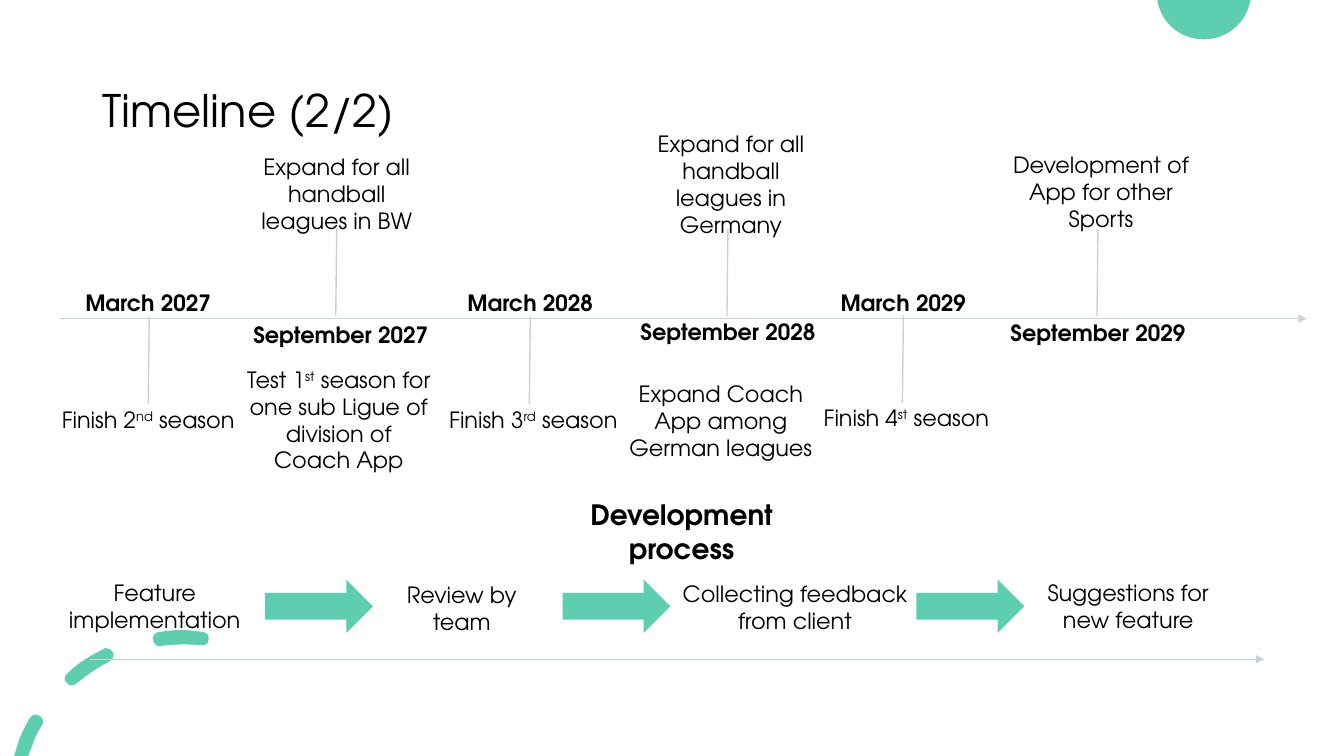
import pptx
import pptx.util
import pptx.dml.color
import pptx.enum.shapes
import pptx.enum.text
import pptx.oxml
import pptx.oxml.ns

Inches = pptx.util.Inches
RGBColor = pptx.dml.color.RGBColor
GREEN = RGBColor(0x5D, 0xCE, 0xAF)
GREY = RGBColor(0xC8, 0xD2, 0xDD)
BLACK = RGBColor(0, 0, 0)
FONT = "TeX Gyre Adventor"

STEM_HEIGHT = 0.87
STEM_TOPS = [(1.48, 3.14), (3.34, 2.26), (5.26, 3.14),
             (7.22, 2.27), (8.96, 3.13), (10.89, 2.27)]

DATES = [
    ("March 2027", 0.52, 2.87), ("September 2027", 2.43, 3.19),
    ("March 2028", 4.31, 2.87), ("September 2028", 6.27, 3.16),
    ("March 2029", 8.01, 2.87), ("September 2029", 9.94, 3.17),
]

MILESTONES = [
    (["Finish 2", "nd", " season"], 0.55, 4.03, 0.27),
    (["Expand for all handball leagues in BW"], 2.42, 1.52, 0.81),
    (["Test 1", "st", " season for one sub Ligue of division of Coach App"], 2.44, 3.63, 1.08),
    (["Finish 3", "rd", " season"], 4.37, 4.03, 0.27),
    (["Expand for all handball leagues in Germany"], 6.33, 1.29, 1.08),
    (["Expand Coach App among German leagues"], 6.23, 3.77, 0.81),
    (["Finish 4", "st", " season"], 8.07, 4.01, 0.27),
    (["Development of App for other Sports"], 10, 1.5, 0.81),
]

PROCESS_STEPS = [
    ("Feature implementation", 0.6, 5.75, 1.87),
    ("Review by team", 3.76, 5.77, 1.64),
    ("Collecting feedback from client", 6.68, 5.76, 2.41),
    ("Suggestions for new feature", 10.14, 5.75, 2.1),
]
PROCESS_ARROWS = [2.63, 5.58, 9.09]

CORNER_CIRCLE = [
    [(11.48, 0), [(12.41, 0)], [(12.4, 0.01)],
     [(12.36, 0.23), (12.17, 0.39), (11.94, 0.39)],
     [(11.71, 0.39), (11.52, 0.23), (11.48, 0.01)]],
]
CORNER_DASHES = [
    [(0.36, 7.09), [(0.34, 7.08), (0.31, 7.1), (0.3, 7.12)],
     [(0.26, 7.18), (0.23, 7.25), (0.2, 7.31)], [(0.14, 7.5)], [(0.28, 7.5)], [(0.33, 7.37)],
     [(0.35, 7.31), (0.38, 7.25), (0.42, 7.19)],
     [(0.44, 7.16), (0.42, 7.11), (0.39, 7.1)],
     [(0.38, 7.09), (0.37, 7.09), (0.36, 7.09)]],
    [(1.05, 6.43), [(1.04, 6.43), (1.03, 6.43), (1.03, 6.44)],
     [(0.9, 6.5), (0.77, 6.58), (0.67, 6.68)],
     [(0.64, 6.7), (0.63, 6.75), (0.66, 6.77)],
     [(0.67, 6.79), (0.69, 6.8), (0.71, 6.8)],
     [(0.73, 6.8), (0.74, 6.79), (0.76, 6.78)],
     [(0.86, 6.7), (0.97, 6.62), (1.09, 6.56)],
     [(1.12, 6.54), (1.14, 6.5), (1.12, 6.47)],
     [(1.11, 6.44), (1.08, 6.43), (1.05, 6.43)]],
    [(1.79, 6.25), [(1.72, 6.25), (1.65, 6.26), (1.58, 6.27)],
     [(1.54, 6.27), (1.51, 6.31), (1.52, 6.35)],
     [(1.52, 6.38), (1.55, 6.41), (1.58, 6.41)],
     [(1.73, 6.39), (1.86, 6.39), (1.99, 6.4)],
     [(2.03, 6.41), (2.07, 6.38), (2.07, 6.35)],
     [(2.08, 6.31), (2.05, 6.27), (2.01, 6.27)],
     [(1.94, 6.26), (1.86, 6.25), (1.79, 6.25)]],
]


def fill_green(shape):
    shape.shadow.inherit = False
    shape.fill.solid()
    shape.fill.fore_color.rgb = GREEN
    shape.line.fill.background()


def bend_segments(shape, segments):
    straight = list(shape._element.iter(pptx.oxml.ns.qn("a:lnTo")))
    for line, controls in zip(straight, segments):
        if len(controls) == 3:
            points = "".join(
                f'<a:pt x="{Inches(x) - shape.left}" y="{Inches(y) - shape.top}"/>'
                for x, y in controls)
            curve = pptx.oxml.parse_xml(
                f'<a:cubicBezTo {pptx.oxml.ns.nsdecls("a")}>{points}</a:cubicBezTo>')
            line.getparent().replace(line, curve)


def add_decoration(slide, outlines):
    first_x, first_y = outlines[0][0]
    builder = slide.shapes.build_freeform(Inches(first_x), Inches(first_y))
    all_segments = []
    for index, (start, *segments) in enumerate(outlines):
        if index:
            builder.move_to(Inches(start[0]), Inches(start[1]))
        ends = [controls[-1] for controls in segments]
        builder.add_line_segments([(Inches(x), Inches(y)) for x, y in ends], close=True)
        all_segments += segments
    decoration = builder.convert_to_shape()
    bend_segments(decoration, all_segments)
    fill_green(decoration)


def add_run(paragraph, text, size, bold=False, superscript=False):
    run = paragraph.add_run()
    run.text = text
    run.font.size = pptx.util.Pt(size)
    run.font.name = FONT
    run.font.bold = bold
    run.font.color.rgb = BLACK
    if superscript:
        run.font._element.set("baseline", "30000")


def add_title(slide, text):
    title = slide.shapes.add_textbox(Inches(0.92), Inches(0.4), Inches(11.5), Inches(1.45))
    frame = title.text_frame
    frame.word_wrap = True
    frame.vertical_anchor = pptx.enum.text.MSO_ANCHOR.MIDDLE
    frame.paragraphs[0].line_spacing = 0.9
    add_run(frame.paragraphs[0], text, 32)


def add_label(slide, parts, left, top, width, height, size=16, bold=False):
    label = slide.shapes.add_textbox(Inches(left), Inches(top), Inches(width), Inches(height))
    frame = label.text_frame
    frame.word_wrap = True
    frame.auto_size = pptx.enum.text.MSO_AUTO_SIZE.SHAPE_TO_FIT_TEXT
    frame.margin_left = frame.margin_right = frame.margin_top = frame.margin_bottom = 0
    paragraph = frame.paragraphs[0]
    paragraph.alignment = pptx.enum.text.PP_ALIGN.CENTER
    for index, part in enumerate(parts):
        add_run(paragraph, part, size, bold, superscript=index == 1)


def add_rule(slide, x1, y1, x2, y2, arrow=False):
    rule = slide.shapes.add_connector(
        pptx.enum.shapes.MSO_CONNECTOR.STRAIGHT, Inches(x1), Inches(y1), Inches(x2), Inches(y2))
    rule.line.color.rgb = GREY
    rule.line.width = pptx.util.Pt(1)
    if arrow:
        tail = pptx.oxml.parse_xml(f'<a:tailEnd {pptx.oxml.ns.nsdecls("a")} type="triangle"/>')
        rule.line._get_or_add_ln().append(tail)
    properties = rule._element.spPr
    properties.append(pptx.oxml.parse_xml(f'<a:effectLst {pptx.oxml.ns.nsdecls("a")}/>'))


def add_process_arrow(slide, left):
    arrow = slide.shapes.add_shape(
        pptx.enum.shapes.MSO_SHAPE.RIGHT_ARROW,
        Inches(left), Inches(5.75), Inches(1.07), Inches(0.53))
    fill_green(arrow)


def main():
    deck = pptx.Presentation()
    deck.slide_width, deck.slide_height = Inches(13.33), Inches(7.5)
    slide = deck.slides.add_slide(deck.slide_layouts[6])

    add_decoration(slide, CORNER_CIRCLE)
    add_decoration(slide, CORNER_DASHES)
    add_title(slide, "Timeline (2/2)")

    for x, top in STEM_TOPS:
        add_rule(slide, x, top, x - 0.01, top + STEM_HEIGHT)
    add_rule(slide, 0.6, 3.16, 12.96, 3.16, arrow=True)
    for date, left, top in DATES:
        add_label(slide, [date], left, top, 1.9, 0.27, bold=True)
    for parts, left, top, height in MILESTONES:
        add_label(slide, parts, left, top, 1.84, height)

    add_label(slide, ["Development process"], 5.81, 4.94, 1.9, 0.67, size=20, bold=True)
    add_rule(slide, 0.89, 6.54, 12.54, 6.54, arrow=True)
    for left in PROCESS_ARROWS:
        add_process_arrow(slide, left)
    for step, left, top, width in PROCESS_STEPS:
        add_label(slide, [step], left, top, width, 0.54)

    deck.save("out.pptx")


if __name__ == "__main__":
    main()
